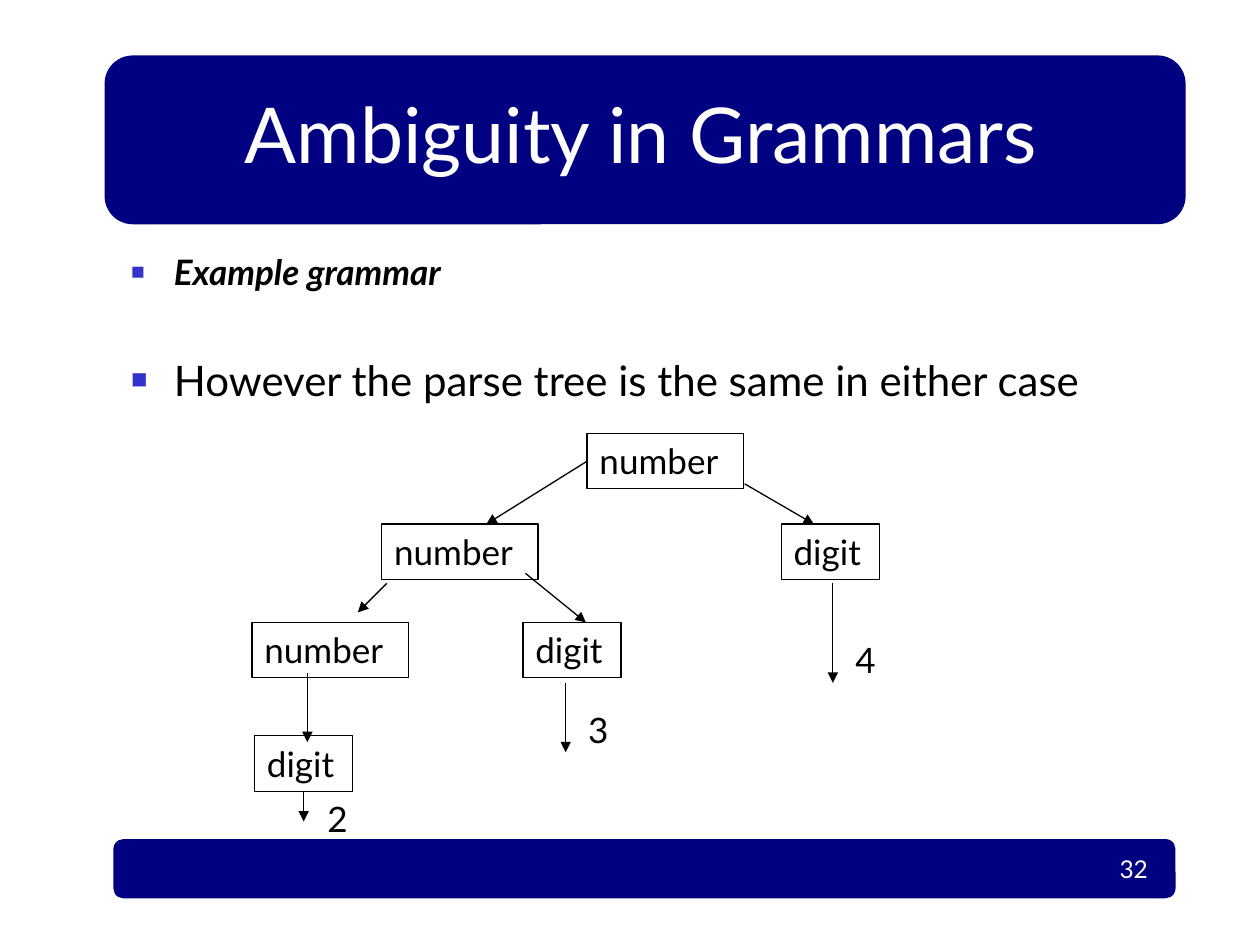
from lxml.etree import SubElement as Sub
from pptx import Presentation
from pptx.dml.color import RGBColor
from pptx.enum.shapes import MSO_CONNECTOR as Line, MSO_SHAPE as Kind
from pptx.enum.text import MSO_ANCHOR as Anchor, MSO_AUTO_SIZE as Fit, PP_ALIGN as Align
from pptx.oxml.ns import qn
from pptx.util import Inches, Pt

NAVY, BLUE, BLACK, WHITE = "000080", "3333CC", "000000", "FFFFFF"
TITLE = "Ambiguity in Grammars"
BANDS = [(0.83, 0.44, 8.58, 1.34), (0.9, 6.66, 8.43, 0.47)]
# text, space before, format
POINTS = [
    ("Example grammar", 0, {"size": Pt(20), "bold": True, "italic": True}),
    ("However the parse tree is the same in either case", 35, {"size": Pt(24)}),
]
ROWS = [3.44, 4.16, 4.94, 5.84]
HIGH = 0.44
WIDTHS = {"number": 1.24, "digit": 0.78}
# name: word, left, row
NODES = {
    "root": ("number", 4.66, 0),
    "right": ("digit", 6.2, 1),
    "left": ("number", 3.03, 1),
    "low": ("number", 2, 2),
    "mid": ("digit", 4.15, 2),
    "last": ("digit", 2.02, 3),
}
# start, end, joined node and side
ARROWS = [
    ((4.66, 3.66), (3.86, 4.16), ("root", 1)),
    ((3.07, 4.63), (2.84, 4.86), None),
    ((4.17, 4.55), (4.65, 4.94), None),
    ((2.44, 5.34), (2.44, 5.89), None),
    ((5.91, 3.84), (6.46, 4.16), None),
    ((2.41, 6.28), (2.41, 6.52), ("last", 2)),
    ((4.49, 5.42), (4.49, 5.97), None),
    ((6.61, 4.63), (6.61, 5.42), None),
]
LEAVES = [("2", 2.5, 6.28), ("3", 4.57, 5.57), ("4", 6.69, 5.02)]


def color(code):
    return RGBColor.from_string(code)


def place(shape, box):
    for name, val in zip(("left", "top", "width", "height"), box):
        setattr(shape, name, Inches(val))


def style(font, code, **form):
    for name, val in {"name": "Lato", **form}.items():
        setattr(font, name, val)
    font.color.rgb = color(code)


def write(shape, text, size, code=BLACK, align=Align.LEFT, anchor=Anchor.TOP):
    frame = shape.text_frame
    frame.text = text
    form = {"word_wrap": True, "auto_size": Fit.NONE, "vertical_anchor": anchor}
    for name, val in form.items():
        setattr(frame, name, val)
    par = frame.paragraphs[0]
    par.alignment = align
    style(par.runs[0].font, code, size=Pt(size))


def bullet(par):
    props = par._p.get_or_add_pPr()
    props.set("marL", str(Inches(0.45)))
    props.set("indent", str(-Inches(0.34)))
    Sub(Sub(props, qn("a:buClr")), qn("a:srgbClr"), val=BLUE)
    Sub(props, qn("a:buSzPct"), val="65000")
    Sub(props, qn("a:buChar"), char="■")


def label(slide, text, box, size=20, **form):
    shape = slide.shapes.add_textbox(*map(Inches, box))
    write(shape, text, size, **form)
    return shape


def arrow(slide, start, end):
    link = slide.shapes.add_connector(Line.STRAIGHT, *map(Inches, start + end))
    link.line.width = Pt(0.75)
    link.line.color.rgb = color(BLACK)
    Sub(link.line._get_or_add_ln(), qn("a:tailEnd"), type="triangle")
    Sub(link._element.spPr, qn("a:effectLst"))
    return link


def main():
    deck = Presentation()
    deck.slide_width, deck.slide_height = Inches(10), Inches(7.5)
    slide = deck.slides.add_slide(deck.slide_layouts[1])
    title, body = slide.placeholders

    for i, box in enumerate(BANDS):
        band = slide.shapes.add_shape(Kind.ROUNDED_RECTANGLE, *map(Inches, box))
        band.shadow.inherit = False
        band.fill.solid()
        band.fill.fore_color.rgb = color(NAVY)
        band.line.fill.background()
        slide.shapes._spTree.insert(2 + i, band._element)

    label(slide, "32", (7.13, 6.56, 2.08, 0.5), 14, code=WHITE,
          align=Align.RIGHT, anchor=Anchor.BOTTOM)
    place(title, (0.83, 0.58, 8.52, 0.89))
    write(title, TITLE, 44, WHITE, Align.CENTER, Anchor.BOTTOM)

    place(body, (0.83, 1.94, 8.11, 4.41))
    frame = body.text_frame
    frame.auto_size = Fit.NONE
    frame.text = "\n".join(text for text, _, _ in POINTS)
    for par, (_, gap, form) in zip(frame.paragraphs, POINTS):
        par.space_before = Pt(gap)
        bullet(par)
        style(par.runs[0].font, BLACK, **form)

    nodes = {}
    for name, (word, left, row) in NODES.items():
        node = slide.shapes.add_shape(
            Kind.RECTANGLE, *map(Inches, (left, ROWS[row], WIDTHS[word], HIGH)))
        node.shadow.inherit = False
        node.fill.background()
        node.line.width = Pt(0.75)
        node.line.color.rgb = color(BLACK)
        write(node, word, 20)
        nodes[name] = node

    for start, end, join in ARROWS:
        link = arrow(slide, start, end)
        if join:
            name, side = join
            link.begin_connect(nodes[name], side)

    for text, left, top in LEAVES:
        label(slide, text, (left, top, 0.36, HIGH))

    deck.save("out.pptx")


if __name__ == "__main__":
    main()
